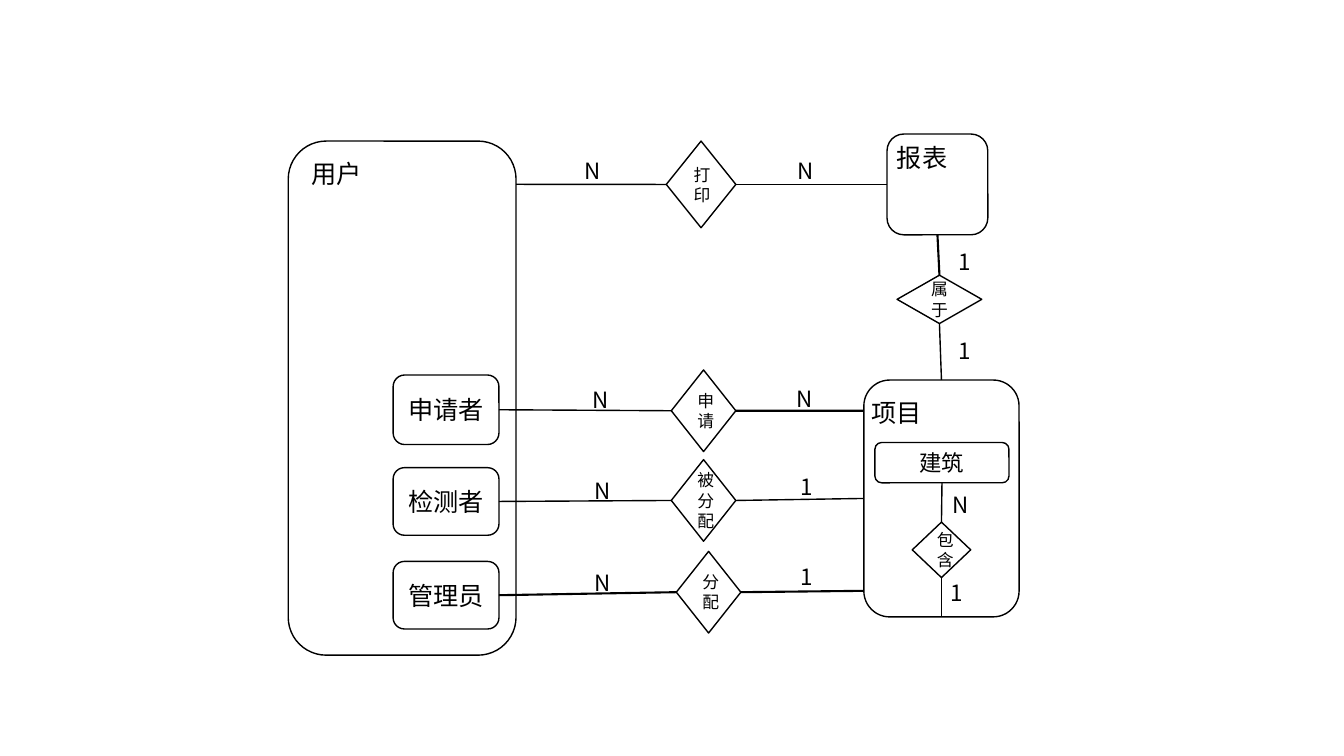
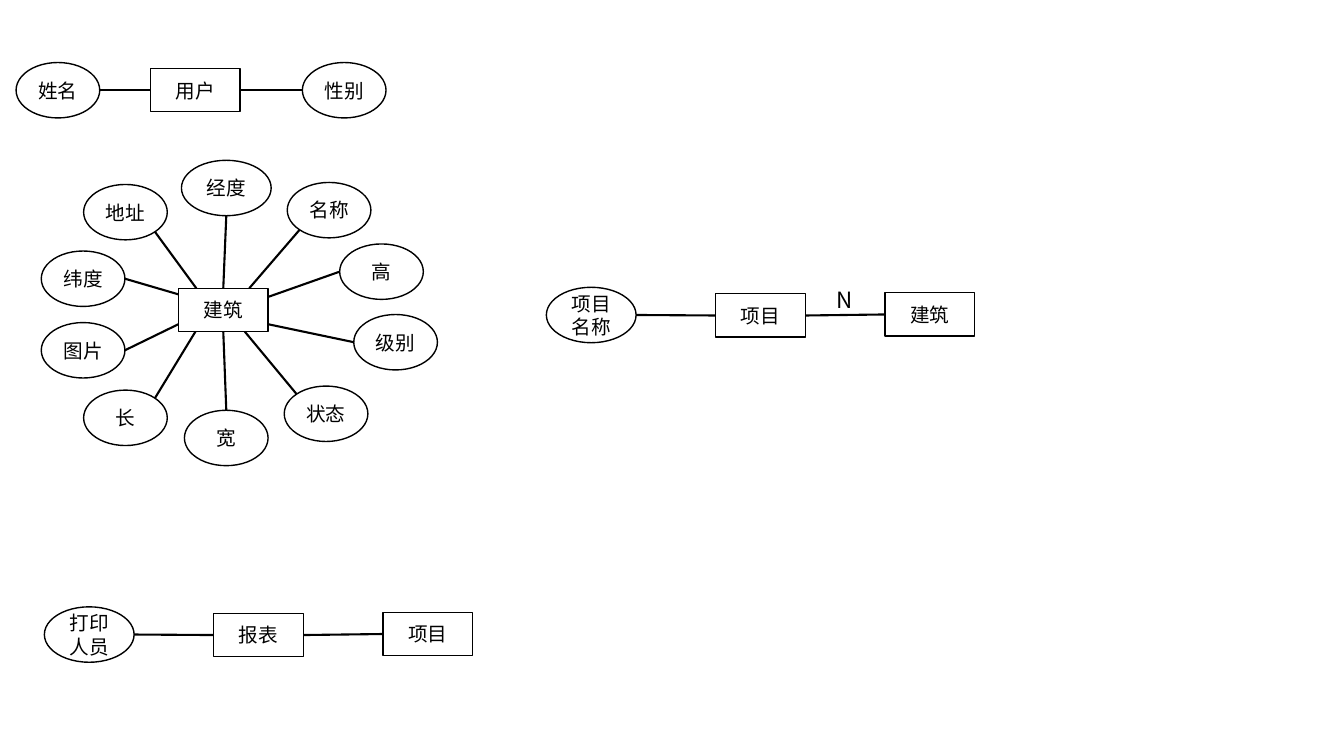
"""Builds two slides of entity-relationship diagrams."""
from lxml import etree
from pptx import Presentation
from pptx.dml.color import RGBColor
from pptx.enum.shapes import MSO_CONNECTOR, MSO_SHAPE
from pptx.enum.text import MSO_ANCHOR, MSO_AUTO_SIZE, PP_ALIGN
from pptx.oxml.ns import qn
from pptx.util import Inches, Pt

ROUNDED = MSO_SHAPE.ROUNDED_RECTANGLE
DIAMOND = MSO_SHAPE.FLOWCHART_DECISION
RECTANGLE = MSO_SHAPE.RECTANGLE
ELLIPSE = MSO_SHAPE.OVAL
STRAIGHT = MSO_CONNECTOR.STRAIGHT
CENTER = PP_ALIGN.CENTER
MIDDLE = MSO_ANCHOR.MIDDLE
GROW = MSO_AUTO_SIZE.SHAPE_TO_FIT_TEXT

FONT = "Noto Sans CJK SC"
INK = "000000"
PAPER = "FFFFFF"
COLUMNS, ROWS = 133.33, 75
CELL = Inches(0.1)
THIN, THICK = 1, 1.5

LEFT, RIGHT, TOP, BOTTOM = (0, 0.5), (1, 0.5), (0.5, 0), (0.5, 1)
NEAR, FAR = 0.15, 0.85
UPPER_LEFT, UPPER_RIGHT = (NEAR, NEAR), (FAR, NEAR)
LOWER_LEFT, LOWER_RIGHT = (NEAR, FAR), (FAR, FAR)

ENTITY_SIZE = (8.9, 4.3)
ATTRIBUTE_SIZE = (8.3, 5.5)
WIDE_ATTRIBUTE_SIZE = (8.9, 5.5)
RELATION_SIZE = (6.4, 8.1)


def cells(count):
    """Convert a number of grid cells to a length."""
    return round(count * CELL)


def color(code):
    """Turn a hex string into a colour."""
    return RGBColor.from_string(code)


def write(frame, text, size):
    """Put text in a frame in the shared font."""
    frame.word_wrap = True
    frame.text = text
    for para in frame.paragraphs:
        for span in para.runs:
            span.font.size = Pt(size)
            span.font.name = FONT
            span.font.color.rgb = color(INK)
            properties = span.font._element
            etree.SubElement(properties, qn("a:ea")).set("typeface", FONT)


def outlined(page, kind, corner, extent, text="", size=14, hollow=False):
    """Add an outlined shape with centred text."""
    box = page.shapes.add_shape(kind, *map(cells, (*corner, *extent)))
    box.shadow.inherit = False
    if hollow:
        box.fill.background()
    else:
        box.fill.solid()
        box.fill.fore_color.rgb = color(PAPER)
    box.line.color.rgb = color(INK)
    box.line.width = Pt(THIN)
    if text:
        write(box.text_frame, text, size)
        box.text_frame.vertical_anchor = MIDDLE
        box.text_frame.paragraphs[0].alignment = CENTER
    return box


def entity(page, text, *corner):
    """Add an entity rectangle."""
    return outlined(page, RECTANGLE, corner, ENTITY_SIZE, text)


def attribute(page, text, *corner, extent=ATTRIBUTE_SIZE, hollow=False):
    """Add an attribute ellipse."""
    return outlined(page, ELLIPSE, corner, extent, text, hollow=hollow)


def relation(page, text, corner, extent=RELATION_SIZE, hollow=False):
    """Add a relation diamond."""
    return outlined(page, DIAMOND, corner, extent, text, 12, hollow)


def label(page, text, column, row, width=3.3, height=3.7, size=16):
    """Add a plain text box."""
    box = page.shapes.add_textbox(*map(cells, (column, row, width, height)))
    write(box.text_frame, text, size)
    box.text_frame.auto_size = GROW


def title(page, text, column, row, width):
    """Name a large container."""
    label(page, text, column, row, width, 4, 18)


def point(box, share):
    """Find a point at a share of a box's width and height."""
    across, down = share
    return (round(box.left + across * box.width),
            round(box.top + down * box.height))


def link(page, start, start_share, end, end_share, weight=THICK):
    """Draw a line between points on two boxes."""
    line = page.shapes.add_connector(
        STRAIGHT, *point(start, start_share), *point(end, end_share))
    line.line.color.rgb = color(INK)
    line.line.width = Pt(weight)
    etree.SubElement(line._element.spPr, qn("a:effectLst"))


def draw_roles(page, project):
    """Link each user role to the project."""
    roles = [
        ("申请者", 37.2, 6.9, "申请", (66.6, 36.7), False, 0.13,
         (THIN, THICK), ("N", 57.8, 37.8), ("N", 78, 37.7)),
        ("检测者", 46.4, 6.7, "被分配", (66.6, 45.6), True, 0.5,
         (THIN, THIN), ("N", 58, 46.8), ("1", 78.4, 46.4)),
        ("管理员", 55.7, 6.7, "分配", (67.1, 54.7), True, 0.89,
         (THICK, THICK), ("N", 58, 56), ("1", 78.4, 55.4)),
    ]
    for name, row, height, verb, corner, hollow, share, weights, many, other in roles:
        role = outlined(page, ROUNDED, (39, row), (10.5, height), name, 18)
        diamond = relation(page, verb, corner, hollow=hollow)
        link(page, role, RIGHT, diamond, LEFT, weights[0])
        link(page, diamond, RIGHT, project, (0, share), weights[1])
        label(page, *many, width=2.6)
        label(page, *other)


def draw_relations(page):
    """Draw users, reports, projects and their relations."""
    user = outlined(page, ROUNDED, (28.6, 14), (22.6, 51))
    title(page, "用户", 29.9, 15.2, 9.2)
    project = outlined(page, ROUNDED, (85.7, 37.7), (15.4, 23.5), hollow=True)
    title(page, "项目", 85.5, 38.9, 15.4)
    report = outlined(page, ROUNDED, (88, 13.3), (10, 10), hollow=True)
    title(page, "报表", 88, 13.6, 8.4)
    draw_roles(page, project)

    printing = relation(page, "打印", (66.1, 14), (6.9, 8.6))
    link(page, user, (1, 0.084), printing, LEFT, THIN)
    link(page, printing, RIGHT, report, LEFT, THIN)
    for column in (57, 78.1):
        label(page, "N", column, 15.1, 3.6)

    belonging = relation(page, "属于", (89, 27.3), (8.4, 4.8))
    link(page, report, BOTTOM, belonging, TOP)
    link(page, belonging, BOTTOM, project, TOP, THIN)
    for row in (24.1, 33):
        label(page, "1", 94.1, row)

    building = outlined(page, ROUNDED, (86.8, 43.9), (13.3, 4), "建筑", 16)
    containing = relation(page, "包含", (90.5, 51.8), (5.8, 5.5))
    link(page, containing, BOTTOM, project, BOTTOM, THIN)
    link(page, containing, TOP, building, BOTTOM, THIN)
    label(page, "1", 93.3, 57)
    label(page, "N", 93.5, 48.2, 2.6)


def draw_building(page):
    """Draw the building entity with its ring of attributes."""
    building = entity(page, "建筑", 17.7, 28.6)
    ring = [
        ("地址", 8.3, 18.3, LOWER_RIGHT, (0.2, 0)),
        ("名称", 28.5, 18.1, LOWER_LEFT, (0.79, 0)),
        ("高", 33.7, 24.2, LEFT, (1, 0.2)),
        ("级别", 35.1, 31.2, LEFT, (1, 0.83)),
        ("状态", 28.2, 38.3, UPPER_LEFT, (0.74, 1)),
        ("宽", 18.3, 40.7, TOP, BOTTOM),
        ("图片", 4.1, 32, RIGHT, (0, 0.83)),
        ("纬度", 4.1, 24.9, RIGHT, (0, 0.14)),
    ]
    for name, column, row, outer, inner in ring:
        link(page, attribute(page, name, column, row), outer, building, inner)
    length = attribute(page, "长", 8.3, 38.7, hollow=True)
    link(page, length, UPPER_RIGHT, building, (0.19, 1))
    longitude = attribute(page, "经度", 18, 15.9, extent=WIDE_ATTRIBUTE_SIZE)
    link(page, longitude, BOTTOM, building, TOP)


def draw_chain(page, names, column, row):
    """Draw an attribute, its entity and a related entity in a line."""
    step = 16.8
    name, owner, related = names
    first = attribute(page, name, column, row, extent=WIDE_ATTRIBUTE_SIZE)
    middle = entity(page, owner, column + step, row + 0.65)
    last = entity(page, related, column + 2 * step, row + 0.55)
    link(page, first, RIGHT, middle, LEFT)
    link(page, last, LEFT, middle, RIGHT)


def draw_attributes(page):
    """Draw the entities with their attributes."""
    user = entity(page, "用户", 14.9, 6.8)
    link(page, user, RIGHT, attribute(page, "性别", 30, 6.2), LEFT)
    link(page, attribute(page, "姓名", 1.6, 6.2), RIGHT, user, LEFT)
    draw_building(page)
    draw_chain(page, ("项目名称", "项目", "建筑"), 54.2, 28.5)
    draw_chain(page, ("打印人员", "报表", "项目"), 4.4, 60.2)
    label(page, "N", 82, 27.9, 3.6)


def main():
    """Build and save the deck."""
    deck = Presentation()
    deck.slide_width, deck.slide_height = cells(COLUMNS), cells(ROWS)
    blank = deck.slide_layouts[6]
    for draw in (draw_relations, draw_attributes):
        draw(deck.slides.add_slide(blank))
    deck.save("out.pptx")


main()
